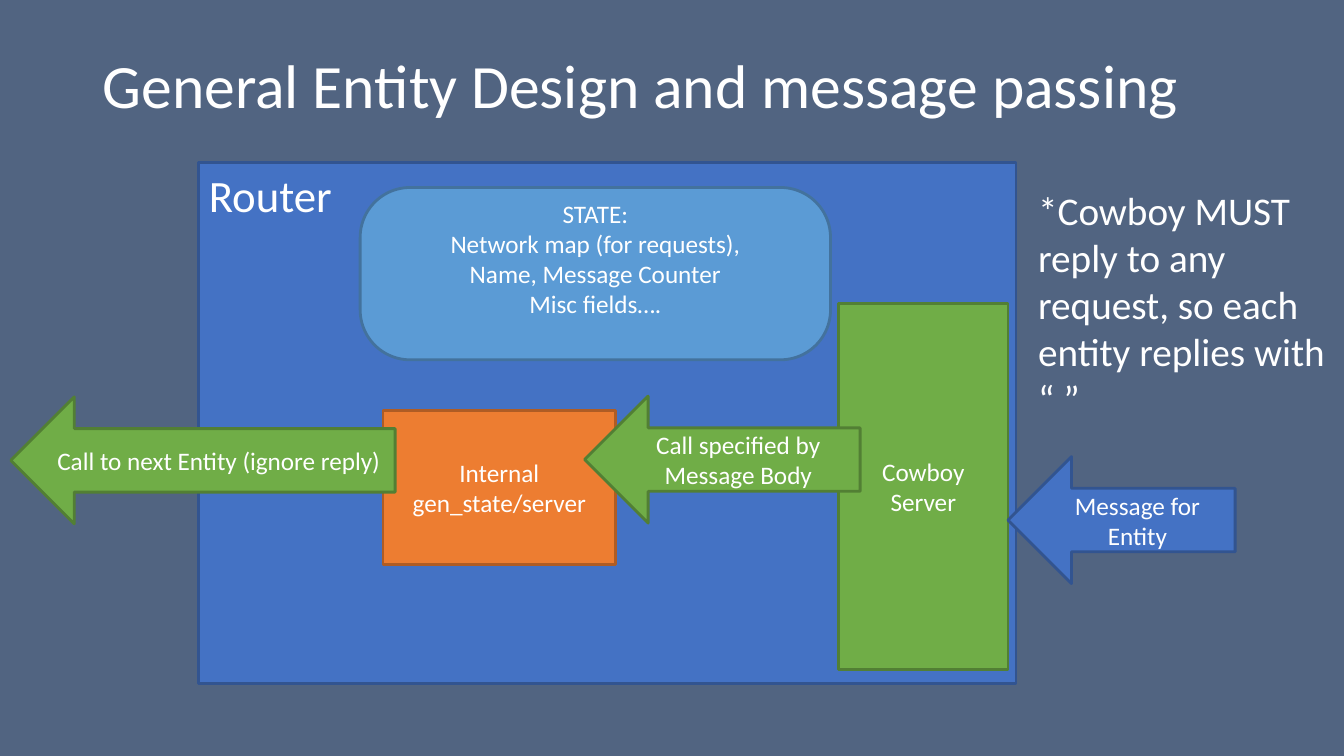
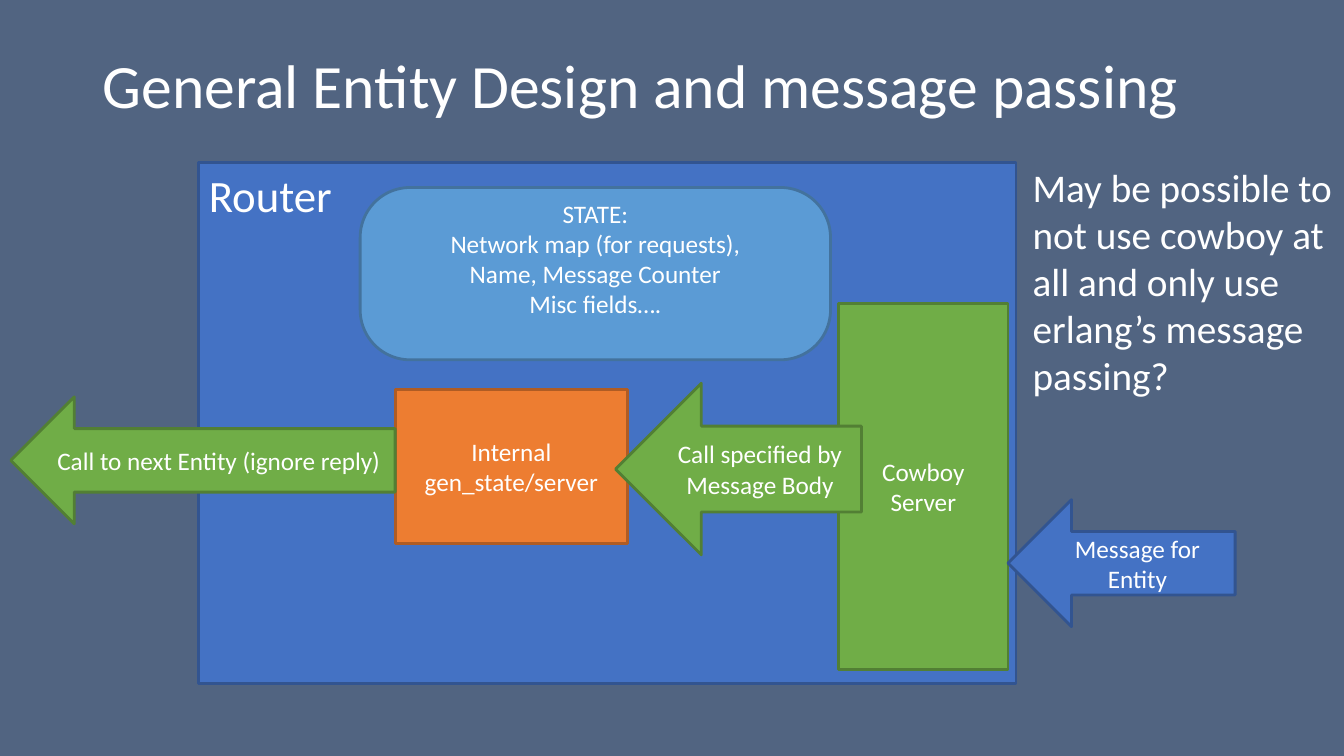
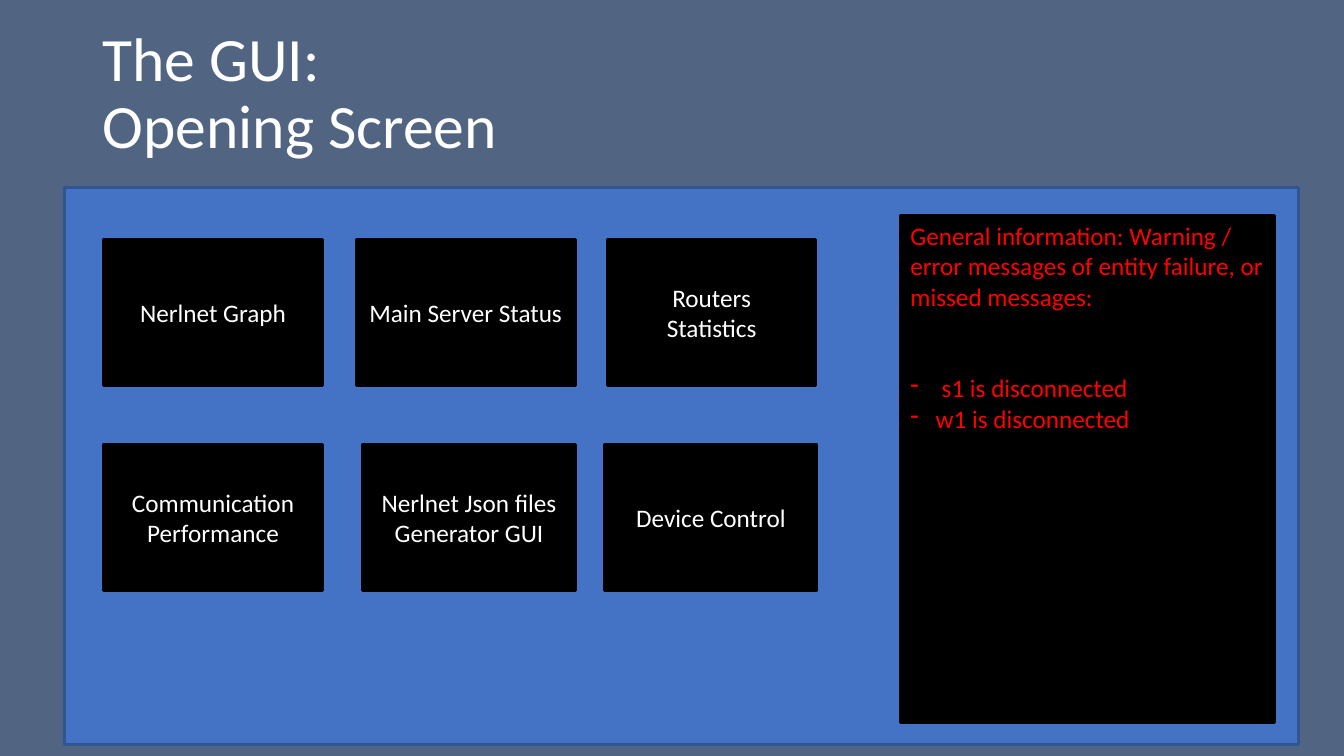
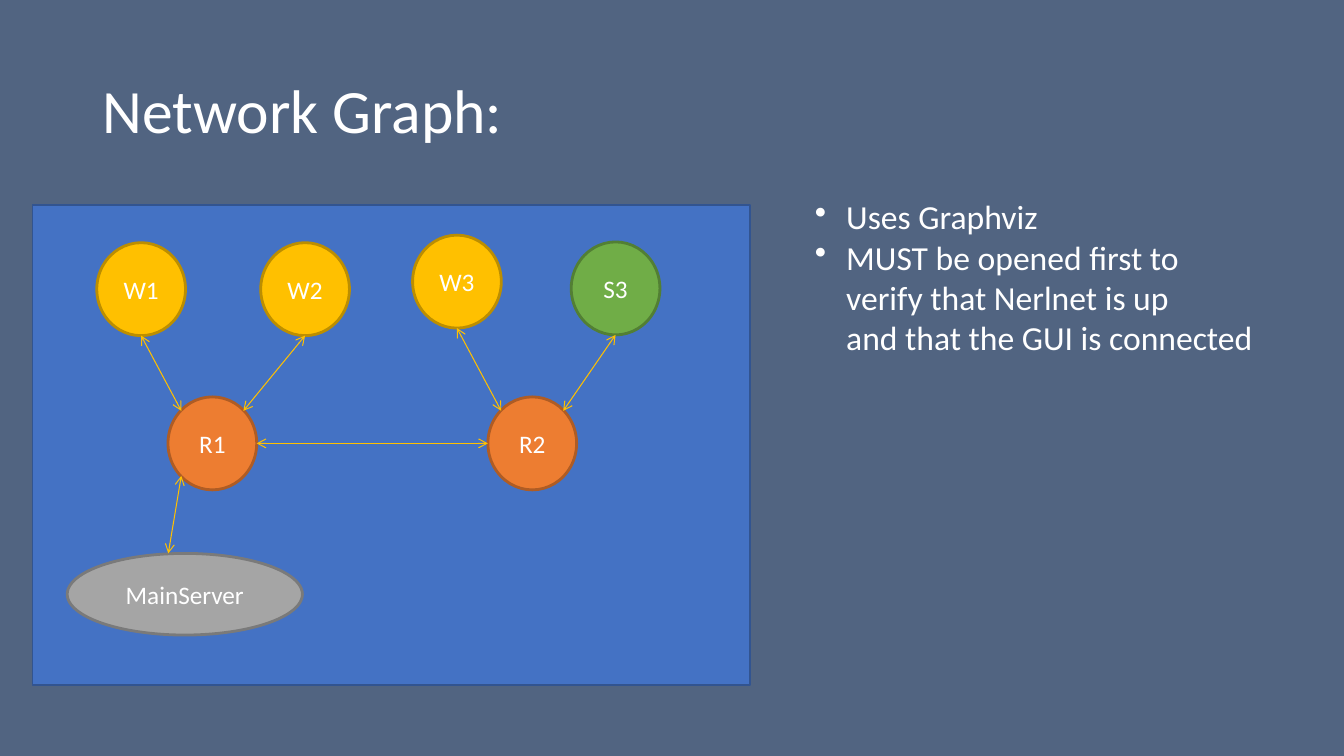
"""Build four slides on entity design, the GUI and the network graph."""
from lxml import etree
from pptx import Presentation
from pptx.dml.color import RGBColor
from pptx.enum.shapes import MSO_CONNECTOR, MSO_SHAPE
from pptx.enum.text import MSO_ANCHOR, PP_ALIGN
from pptx.oxml.ns import qn
from pptx.util import Inches, Pt

RECT, ROUND = MSO_SHAPE.RECTANGLE, MSO_SHAPE.ROUNDED_RECTANGLE
OVAL, ARROW = MSO_SHAPE.OVAL, MSO_SHAPE.LEFT_ARROW
LEFT, CENTER = PP_ALIGN.LEFT, PP_ALIGN.CENTER
TOP, MIDDLE = MSO_ANCHOR.TOP, MSO_ANCHOR.MIDDLE
STRAIGHT = MSO_CONNECTOR.STRAIGHT

SLATE = RGBColor(0x51, 0x64, 0x81)
WHITE = RGBColor(0xFF, 0xFF, 0xFF)
BLACK = RGBColor(0x00, 0x00, 0x00)
RED = RGBColor(0xFF, 0x00, 0x00)
BLUE = RGBColor(0x44, 0x72, 0xC4)
SKY = RGBColor(0x5B, 0x9B, 0xD5)
GREEN = RGBColor(0x70, 0xAD, 0x47)
ORANGE = RGBColor(0xED, 0x7D, 0x31)
GOLD = RGBColor(0xFF, 0xC0, 0x00)
GRAY = RGBColor(0xA5, 0xA5, 0xA5)
EDGES = {
    BLUE: RGBColor(0x32, 0x54, 0x90),
    SKY: RGBColor(0x43, 0x72, 0x9D),
    GREEN: RGBColor(0x52, 0x7F, 0x34),
    ORANGE: RGBColor(0xAF, 0x5C, 0x24),
    GOLD: RGBColor(0xBC, 0x8E, 0x00),
    GRAY: RGBColor(0x7A, 0x7A, 0x7A),
    BLACK: BLACK,
}
FONT = "Calibri"

deck = Presentation()
deck.slide_width, deck.slide_height = Inches(13.33), Inches(7.5)
COL, ROW = deck.slide_width / 100, deck.slide_height / 100
deck.slide_master.background.fill.solid()
deck.slide_master.background.fill.fore_color.rgb = SLATE


def put(slide, kind, area, fill=None, edge=2):
    """Place a shape, or a text box if kind is None, on the 100 by 100 grid."""
    left, top, wide, high = area
    box = [int(n) for n in (left * COL, top * ROW, wide * COL, high * ROW)]
    if kind is None:
        return slide.shapes.add_textbox(*box)
    shape = slide.shapes.add_shape(kind, *box)
    shape.shadow.inherit = False
    shape.fill.solid()
    shape.fill.fore_color.rgb = fill
    shape.line.color.rgb = EDGES[fill]
    shape.line.width = Pt(edge)
    return shape


def write(shape, lines, size=18, color=WHITE, align=CENTER, anchor=MIDDLE):
    """Fill a shape with one paragraph per line and return the paragraphs."""
    frame = shape.text_frame
    frame.word_wrap = True
    frame.vertical_anchor = anchor
    for i, line in enumerate(lines):
        para = frame.add_paragraph() if i else frame.paragraphs[0]
        para.alignment = align
        for j, part in enumerate(line.split("\n")):
            if j:
                para.add_line_break()
            run = para.add_run()
            run.text = part
            run.font.name, run.font.size = FONT, Pt(size)
            run.font.color.rgb = color
    return frame.paragraphs


DESIGN = "General Entity Design and message passing"
titles = [
    (DESIGN, 5.3, 12.7),
    (DESIGN, 5.3, 12.7),
    ("The GUI:\nOpening Screen", 2.9, 19.3),
    ("Network Graph:", 5.3, 19.3),
]
slides = []
for text, top, high in titles:
    slide = deck.slides.add_slide(deck.slide_layouts[6])
    title = put(slide, None, (6.9, top, 86.2, high))
    write(title, [text], 44, align=LEFT)[0].line_spacing = 0.9
    slides.append(slide)
first, second, screen, graph = slides

STATE = ["STATE:", "Network map (for requests),", "Name, Message Counter", "Misc fields…."]
designs = [
    (first, (28.5, 54.3), 60.4, (43.5, 52.4, 20.5, 16.8), (76.5, 24, 23.2, 32.4),
     "*Cowboy MUST reply to any request, so each entity replies with “ ”"),
    (second, (29.4, 51.5), 66.1, (45.8, 50.7, 18.3, 22.7), (76.1, 20.9, 23.9, 32.4),
     "May be possible to not use cowboy at all and only use erlang’s message passing?"),
]
for slide, core, entry, call, side, note in designs:
    router = put(slide, RECT, (14.8, 21.5, 60.8, 68.9), BLUE)
    write(router, ["Router"], 32, align=LEFT, anchor=TOP)
    parts = [
        (RECT, (62.4, 40.1, 12.6, 48.5), GREEN, ["Cowboy Server"]),
        (RECT, (*core, 17.3, 20.4), ORANGE, ["Internal gen_state/server"]),
        (ROUND, (26.8, 24.8, 35, 22.8), SKY, STATE),
        (ARROW, (75, entry, 16.9, 16.8), BLUE, ["Message for Entity"]),
        (ARROW, call, GREEN, ["Call specified by Message Body"]),
        (ARROW, (0.8, 52.5, 28.6, 16.8), GREEN, ["Call to next Entity (ignore reply)"]),
    ]
    for kind, area, fill, lines in parts:
        shape = put(slide, kind, area, fill)
        write(shape, lines)
        if kind == ROUND:
            shape.adjustments[0] = 0.29
            shape.text_frame.margin_bottom = Inches(0.35)
    write(put(slide, None, side), [note], 28, align=LEFT, anchor=TOP)

put(screen, RECT, (4.8, 24.8, 91.8, 73.7), BLUE)
tiles = [
    [(7.7, 16.3, ["Nerlnet Graph"]),
     (26.5, 16.3, ["Main Server Status"]),
     (45.2, 15.5, ["Routers", "Statistics"])],
    [(7.7, 16.3, ["Communication Performance"]),
     (27, 15.8, ["Nerlnet Json files Generator GUI"]),
     (45, 15.8, ["Device Control"])],
]
for i, row in enumerate(tiles):
    for left, wide, lines in row:
        write(put(screen, RECT, (left, 31.7 + 27.1 * i, wide, 19.3), BLACK), lines)
info = put(screen, RECT, (67, 28.5, 27.8, 67.1), BLACK)
alerts = write(info, [
    "General information: Warning / error messages of entity failure, or missed messages:",
    "s1 is disconnected",
    "w1 is disconnected",
], color=RED, align=LEFT, anchor=TOP)
alerts[1].space_before = Pt(44)

put(graph, RECT, (2.4, 27.1, 53.4, 63.5), BLUE, 1)
WIDE, HIGH = 6.6, 12.3
nodes = {
    "W1": (7.2, 32.1, WIDE, HIGH, GOLD),
    "W2": (19.4, 32.1, WIDE, HIGH, GOLD),
    "W3": (30.7, 31.1, WIDE, HIGH, GOLD),
    "S3": (42.5, 32, WIDE, HIGH, GREEN),
    "R1": (12.5, 52.5, WIDE, HIGH, ORANGE),
    "R2": (36.3, 52.5, WIDE, HIGH, ORANGE),
    "MainServer": (5, 73.2, 17.5, 10.8, GRAY),
}
for name, (*area, fill) in nodes.items():
    write(put(graph, OVAL, area, fill), [name])

NEAR, FAR = 0.15, 0.85
links = [
    ("R1", 1, 0.5, "R2", 0, 0.5),
    ("R1", NEAR, NEAR, "W1", 0.5, 1),
    ("R1", FAR, NEAR, "W2", 0.5, 1),
    ("R2", NEAR, NEAR, "W3", 0.5, 1),
    ("R2", FAR, NEAR, "S3", 0.5, 1),
    ("MainServer", 0.43, 0, "R1", NEAR, FAR),
]
for link in links:
    ends = []
    for name, across, down in (link[:3], link[3:]):
        left, top, wide, high, fill = nodes[name]
        ends += [int((left + across * wide) * COL), int((top + down * high) * ROW)]
    wire = graph.shapes.add_connector(STRAIGHT, *ends)
    wire.line.color.rgb = GOLD
    wire.line.width = Pt(0.75)
    for tag in ("a:headEnd", "a:tailEnd"):
        etree.SubElement(wire.line._ln, qn(tag), type="arrow")
    etree.SubElement(wire._element.spPr, qn("a:effectLst"))

facts = write(put(graph, None, (59.9, 25.3, 36, 28)), [
    "Uses Graphviz",
    "MUST be opened first to\nverify that Nerlnet is up\nand that the GUI is connected",
], 24, align=LEFT, anchor=TOP)

points = [
    (alerts[1], "-", 0.31),
    (alerts[2], "-", 0.25),
    (facts[0], "•", 0.31),
    (facts[1], "•", 0.31),
]
for para, mark, dent in points:
    props = para._p.get_or_add_pPr()
    props.set("marL", str(Inches(dent)))
    props.set("indent", str(-Inches(dent)))
    etree.SubElement(props, qn("a:buChar"), char=mark)

deck.save("out.pptx")
